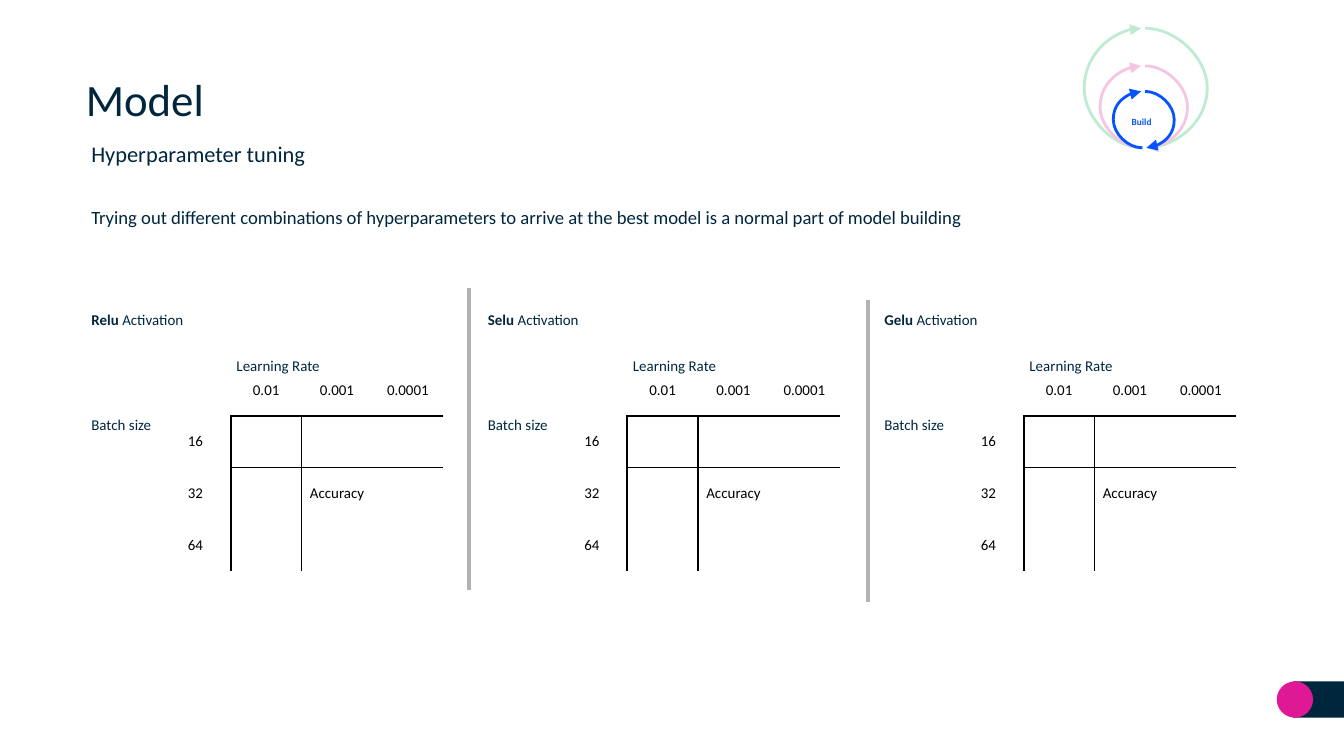
from lxml.etree import SubElement
from pptx import Presentation
from pptx.dml.color import RGBColor
from pptx.enum.shapes import MSO_CONNECTOR, MSO_SHAPE
from pptx.enum.text import MSO_ANCHOR, PP_ALIGN
from pptx.oxml.ns import qn
from pptx.util import Inches, Pt

NAVY = RGBColor(0x00, 0x26, 0x3E)
PINK = RGBColor(0xDF, 0x19, 0x95)
GREEN = RGBColor(0x00, 0xB0, 0x50)
BLUE = RGBColor(0x06, 0x54, 0xFE)
GREY = RGBColor(0xB2, 0xB2, 0xB2)
BLACK = RGBColor(0x00, 0x00, 0x00)
WHITE = RGBColor(0xFF, 0xFF, 0xFF)
FONT = "Calibri"
NO_TABLE_STYLE = "{2D5ABB26-0587-4C30-8999-92F81FD0307C}"
INSET = 0.01

LEARNING_RATES = ["0.01", "0.001", "0.0001"]
BATCH_SIZES = ["16", "32", "64"]


def add_run(paragraph, text, size, color, bold=False):
    run = paragraph.add_run()
    run.text = text
    run.font.name = FONT
    run.font.size = Pt(size)
    run.font.bold = bold
    run.font.color.rgb = color


def set_margins(frame, inset):
    frame.margin_left = frame.margin_right = Inches(inset)
    frame.margin_top = frame.margin_bottom = Inches(inset)


def add_text(shapes, box, runs, size, color=NAVY, align=PP_ALIGN.JUSTIFY,
             inset=INSET, spacing=1.15, anchor=MSO_ANCHOR.TOP):
    """Place one paragraph; runs are (text, bold) pairs."""
    frame = shapes.add_textbox(*map(Inches, box)).text_frame
    frame.word_wrap = True
    frame.vertical_anchor = anchor
    set_margins(frame, inset)
    paragraph = frame.paragraphs[0]
    paragraph.alignment = align
    paragraph.line_spacing = spacing
    for text, bold in runs:
        add_run(paragraph, text, size, color, bold)


def add_shape(shapes, kind, box, color):
    shape = shapes.add_shape(kind, *map(Inches, box))
    shape.shadow.inherit = False
    shape.fill.solid()
    shape.fill.fore_color.rgb = color
    shape.line.fill.background()
    return shape


def add_line(shapes, kind, start, end, color, width):
    line = shapes.add_connector(kind, *map(Inches, start + end))
    line.line.color.rgb = color
    line.line.width = Pt(width)
    SubElement(line._element.spPr, qn("a:effectLst"))
    return line


def add_arc(shapes, x, top, bottom, bulge, color, turned):
    """Half loop with an arrowhead, bulging right, or left when turned."""
    step = 0.01
    arc = add_line(shapes, MSO_CONNECTOR.CURVE, (x, top), (x + step, bottom), color, 1.5)
    properties = arc._element.spPr
    if turned:
        properties.find(qn("a:xfrm")).set("rot", "10800000")
    guides = properties.find(qn("a:prstGeom")).find(qn("a:avLst"))
    SubElement(guides, qn("a:gd"), name="adj1", fmla=f"val {round(bulge / step * 100000)}")
    SubElement(properties.find(qn("a:ln")), qn("a:tailEnd"), type="triangle")


def add_corner_mark(slide, left, top, size):
    add_shape(slide.shapes, MSO_SHAPE.RECTANGLE,
              (left + 0.12, top, 10 - left - 0.12, size), NAVY)
    add_shape(slide.shapes, MSO_SHAPE.OVAL, (left, top, size, size), PINK)


def add_heading(slide, left, top):
    add_text(slide.shapes, (left - 0.13, top, 8.95, 0.55), [("Model", False)], 24,
             align=PP_ALIGN.LEFT, inset=0.1, spacing=1, anchor=MSO_ANCHOR.MIDDLE)
    add_text(slide.shapes, (left, top + 0.54, 5.64, 0.25),
             [("Hyperparameter tuning", False)], 12)
    add_text(slide.shapes, (left, top + 1.04, 8.2, 0.21),
             [("Trying out different combinations of hyperparameters to arrive at "
               "the best model is a normal part of model building", False)], 10)


def add_loops(slide, left, top):
    """Nested loops meeting at the bottom; a veil fades all but the inner one."""
    shapes = slide.shapes.add_group_shape().shapes
    bottom = top + 0.95

    def add_loop(height, left_bulge, right_bulge, color):
        add_arc(shapes, left + 0.47, bottom - height, bottom, left_bulge, color, True)
        add_arc(shapes, left + 0.5, bottom - height, bottom, right_bulge, color, False)

    add_loop(0.89, 0.44, 0.47, GREEN)
    add_loop(0.61, 0.32, 0.32, PINK)
    veil = add_shape(shapes, MSO_SHAPE.OVAL, (left, top, 1, 1), WHITE)
    veil_color = veil._element.spPr.find(qn("a:solidFill"))[0]
    SubElement(veil_color, qn("a:alpha"), val="75000")
    add_loop(0.42, 0.22, 0.22, BLUE)
    add_text(shapes, (left + 0.11, top + 0.69, 0.73, 0.12), [("Build", True)], 5,
             BLUE, PP_ALIGN.CENTER)


def add_borders(cell, sides):
    properties = cell._tc.get_or_add_tcPr()
    for side in sides:
        border = SubElement(properties, qn(f"a:ln{side}"), w=str(Pt(1)))
        fill = SubElement(border, qn("a:solidFill"))
        SubElement(fill, qn("a:srgbClr"), val=str(BLACK))


def border_sides(row, column):
    """Rules between the values and their row and column headers."""
    rules = {
        "L": row > 0 and column == 1,
        "R": row > 0 and column == 0,
        "T": row == 1 and column > 0,
        "B": row == 0 and column > 0,
    }
    return [side for side, drawn in rules.items() if drawn]


def add_grid(slide, left, top, width, height):
    rows = [["", *LEARNING_RATES]] + [[size, "", "", ""] for size in BATCH_SIZES]
    rows[2][2] = "Accuracy"
    frame = slide.shapes.add_table(4, 4, *map(Inches, (left, top, width, height)))
    table = frame.table
    table.first_row = table.horz_banding = False
    table._tbl.tblPr.find(qn("a:tableStyleId")).text = NO_TABLE_STYLE
    for r, values in enumerate(rows):
        for c, value in enumerate(values):
            cell = table.cell(r, c)
            set_margins(cell, INSET)
            cell.vertical_anchor = MSO_ANCHOR.MIDDLE
            add_borders(cell, border_sides(r, c))
            cell.fill.background()
            if value:
                paragraph = cell.text_frame.paragraphs[0]
                paragraph.alignment = PP_ALIGN.CENTER
                add_run(paragraph, value, 8, BLACK)


def add_activation_panel(slide, left, top, name):
    add_grid(slide, left + 0.52, top + 0.43, 2.11, 1.54)
    labels = [
        (1.08, 0.34, 0.87, [("Learning Rate", False)]),
        (0, 0.78, 0.64, [("Batch size", False)]),
        (0, 0, 0.99, [(name, True), (" Activation", False)]),
    ]
    for x, y, width, runs in labels:
        add_text(slide.shapes, (left + x, top + y, width, 0.18), runs, 8)


def main():
    presentation = Presentation()
    presentation.slide_width = Inches(10)
    presentation.slide_height = Inches(10) * 9 // 16
    slide = presentation.slides.add_slide(presentation.slide_layouts[6])

    add_corner_mark(slide, 9.5, 5.07, 0.27)
    add_heading(slide, 0.67, 0.46)
    add_loops(slide, 8.02, 0.15)

    # One panel per activation function
    for index, name in enumerate(["Relu", "Selu", "Gelu"]):
        add_activation_panel(slide, 0.67 + 2.95 * index, 2.28, name)

    # Dividers between the panels
    for x, top in [(3.49, 2.14), (6.46, 2.23)]:
        add_line(slide.shapes, MSO_CONNECTOR.STRAIGHT, (x, top), (x, top + 2.25), GREY, 2.25)

    presentation.save("out.pptx")


if __name__ == "__main__":
    main()
